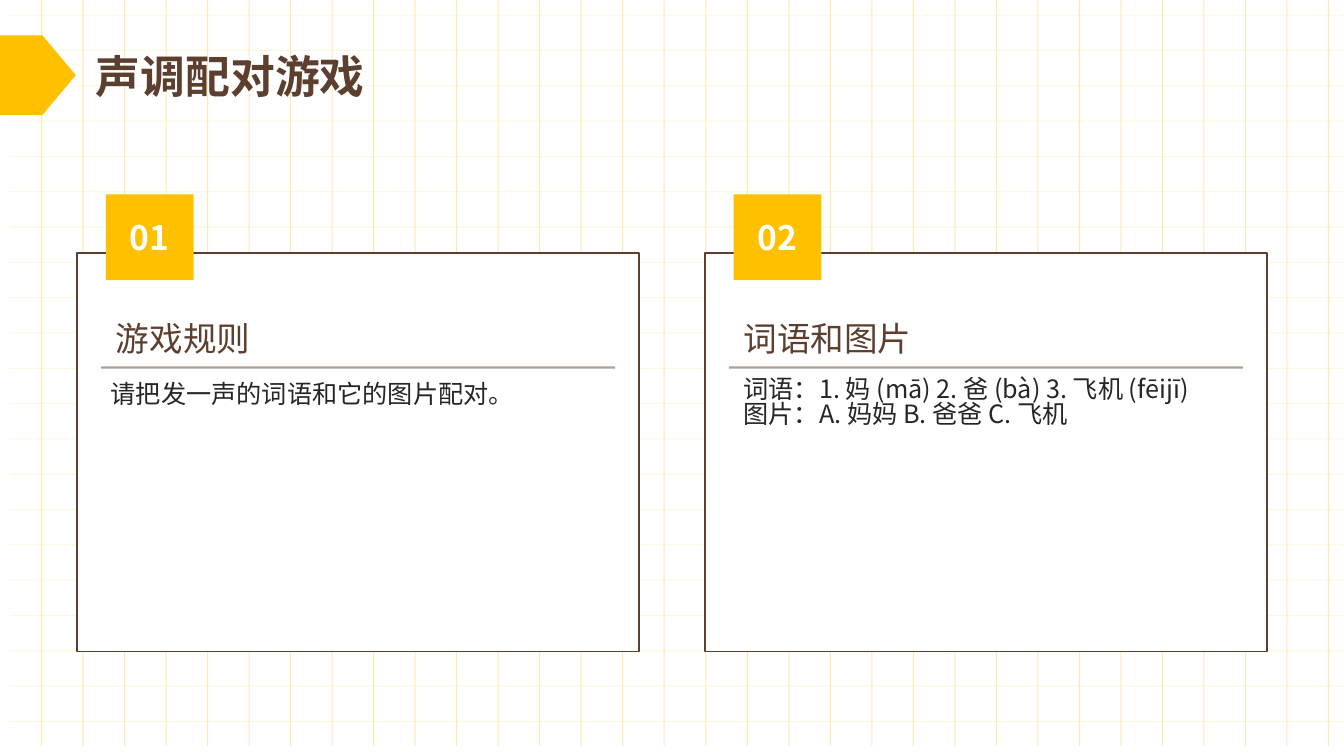
import pptx
import pptx.util
import pptx.dml.color
import pptx.enum.shapes
import pptx.enum.text
import pptx.oxml
import pptx.oxml.ns
import lxml.etree

Cm = pptx.util.Cm
Pt = pptx.util.Pt
RGB = pptx.dml.color.RGBColor.from_string
SHAPE = pptx.enum.shapes.MSO_SHAPE
ALIGN = pptx.enum.text.PP_ALIGN
ANCHOR = pptx.enum.text.MSO_ANCHOR
qn = pptx.oxml.ns.qn

FONT = "Noto Sans CJK SC"
COLORS = {"yellow": "FFC000", "grid": "F7E288", "brown": "5C3F2F",
          "text": "262626", "white": "FFFFFF"}

deck = pptx.Presentation()
deck.slide_width, deck.slide_height = Cm(33.87), Cm(19.05)
page = deck.slides.add_slide(deck.slide_layouts[5])


def add_line(x1, y1, x2, y2, color, width, opacity):
    line = page.shapes.add_connector(
        pptx.enum.shapes.MSO_CONNECTOR.STRAIGHT, Cm(x1), Cm(y1), Cm(x2), Cm(y2))
    line.line.color.rgb = RGB(COLORS[color])
    line.line.width = Pt(width)
    tint = line.line._ln.find(".//" + qn("a:srgbClr"))
    lxml.etree.SubElement(tint, qn("a:alpha"), val=str(opacity * 1000))
    lxml.etree.SubElement(line._element.spPr, qn("a:effectLst"))


def write(box, text, size, color, bold=False, align=ALIGN.LEFT,
          anchor=ANCHOR.MIDDLE, spacing=None):
    frame = box.text_frame
    frame.word_wrap = True
    frame.auto_size = pptx.enum.text.MSO_AUTO_SIZE.NONE
    frame.vertical_anchor = anchor
    para = frame.paragraphs[0]
    para.text = text
    para.alignment = align
    para.line_spacing = spacing
    font = para.font
    font.size, font.bold, font.name = Pt(size), bold, FONT
    font.color.rgb = RGB(COLORS[color])
    latin = font._element.find(qn("a:latin"))
    latin.addnext(latin.makeelement(qn("a:ea"), {"typeface": FONT}))


# Background grid
for row in range(21):
    y = 0.38 + 0.89 * row
    add_line(0.25, y, 33.87, y, "grid", 0.75, 25)
for column in range(1, 33):
    x = 33.48 / 32 * column
    add_line(x, -0.25, x, 18.8, "grid", 0.75, 64)

# Cards
cards = [
    ("01", "游戏规则", "请把发一声的词语和它的图片配对。", 2.54, 9.53),
    ("02", "词语和图片",
     "词语：1. 妈 (mā) 2. 爸 (bà) 3. 飞机 (fēijī)\v图片：A. 妈妈 B. 爸爸 C. 飞机",
     18.49, 9.42),
]
for index, (number, heading, body, body_left, body_top) in enumerate(cards):
    left = 1.94 + 15.82 * index

    panel = page.shapes.add_shape(SHAPE.RECTANGLE, Cm(left), Cm(6.38), Cm(14.17), Cm(10.04))
    panel.shadow.inherit = False
    panel.fill.solid()
    panel.fill.fore_color.rgb = RGB(COLORS["white"])
    panel.line.color.rgb = RGB(COLORS["brown"])
    panel.line.width = Pt(1.25)

    badge = page.shapes.add_shape(SHAPE.RECTANGLE, Cm(left + 0.73), Cm(4.9), Cm(2.21), Cm(2.16))
    badge.shadow.inherit = False
    badge.fill.solid()
    badge.fill.fore_color.rgb = RGB(COLORS["yellow"])
    badge.line.fill.background()
    write(badge, number, 24, "white", bold=True, align=ALIGN.CENTER)

    add_line(left + 0.61, 9.26, left + 13.56, 9.26, "brown", 1.75, 50)

    heading_box = page.shapes.add_textbox(Cm(left + 0.73), Cm(7.77), Cm(12.6), Cm(1.5))
    write(heading_box, heading, 24, "brown")

    body_box = page.shapes.add_textbox(Cm(body_left), Cm(body_top), Cm(12.6), Cm(6))
    write(body_box, body, 18, "text", anchor=ANCHOR.TOP, spacing=0.83)

# Title, brought in front of the grid, with its arrow tag
title = page.shapes.title
title.left, title.top, title.width, title.height = Cm(2.16), Cm(0.89), Cm(30), Cm(2.01)
write(title, "声调配对游戏", 32, "brown", bold=True)
title._element.getparent().append(title._element)

tag = page.shapes.add_shape(SHAPE.PENTAGON, Cm(0), Cm(0.89), Cm(1.91), Cm(2.01))
tag.adjustments[0] = 0.44
tag.shadow.inherit = False
tag.fill.solid()
tag.fill.fore_color.rgb = RGB(COLORS["yellow"])
tag.line.fill.background()

deck.save("out.pptx")
